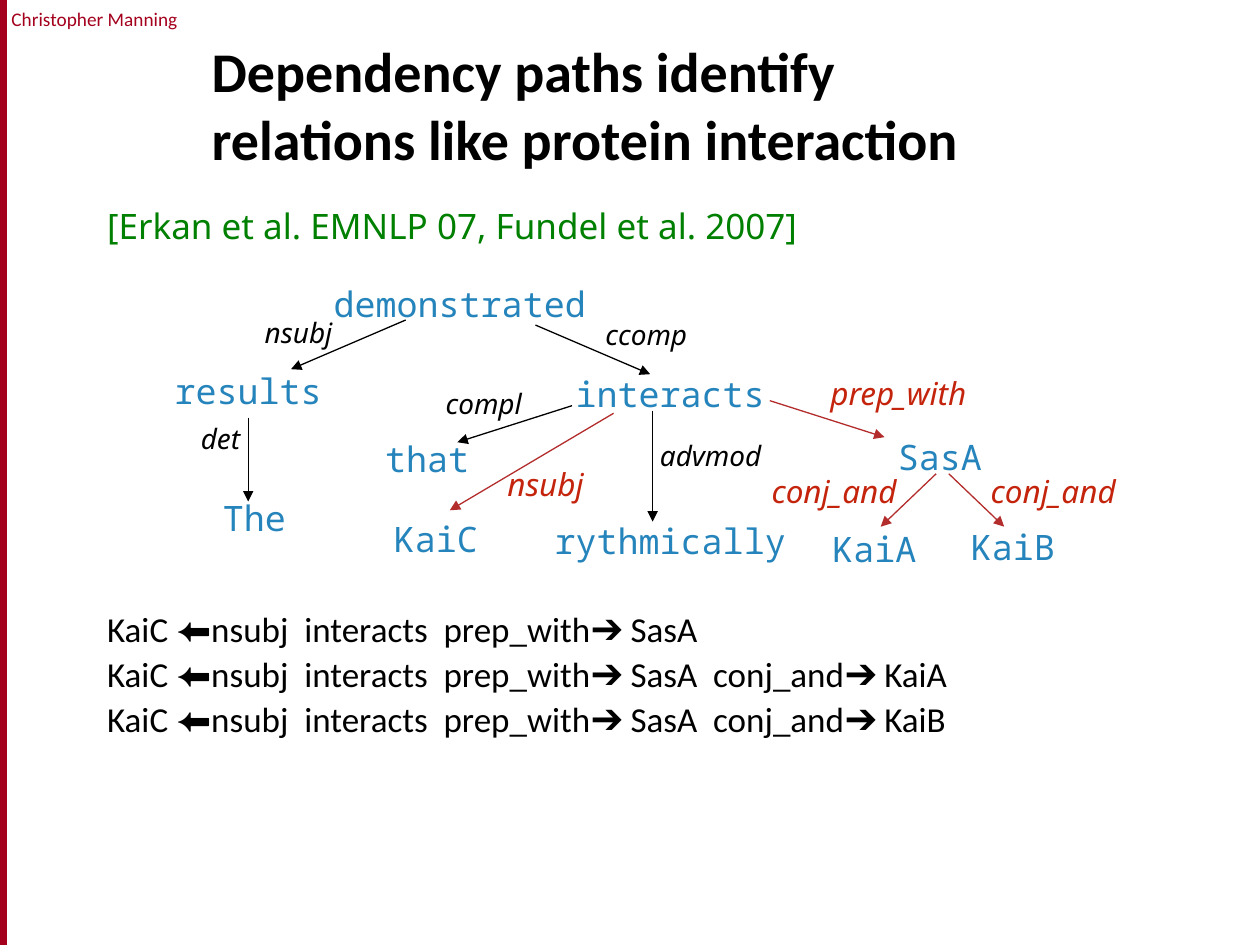
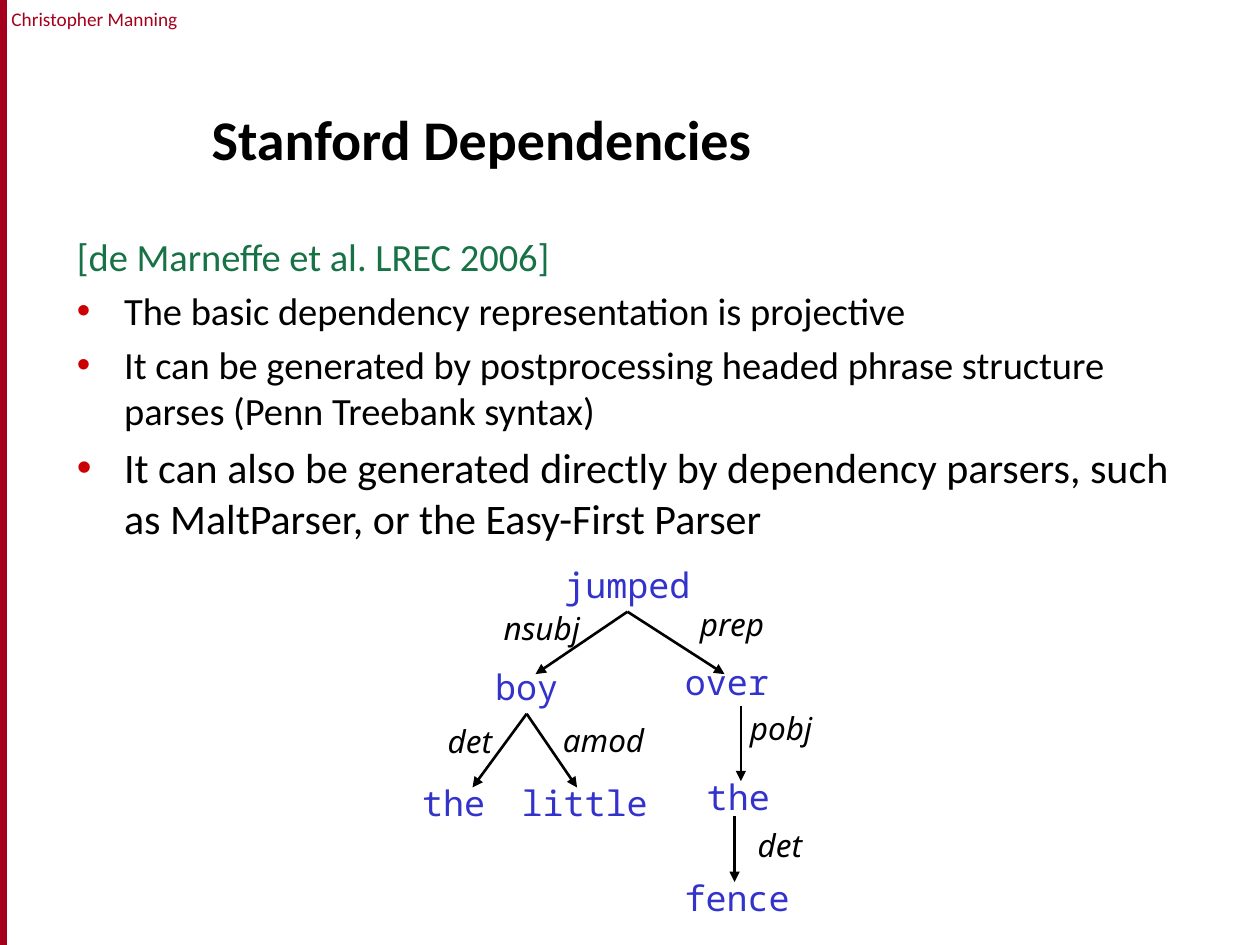
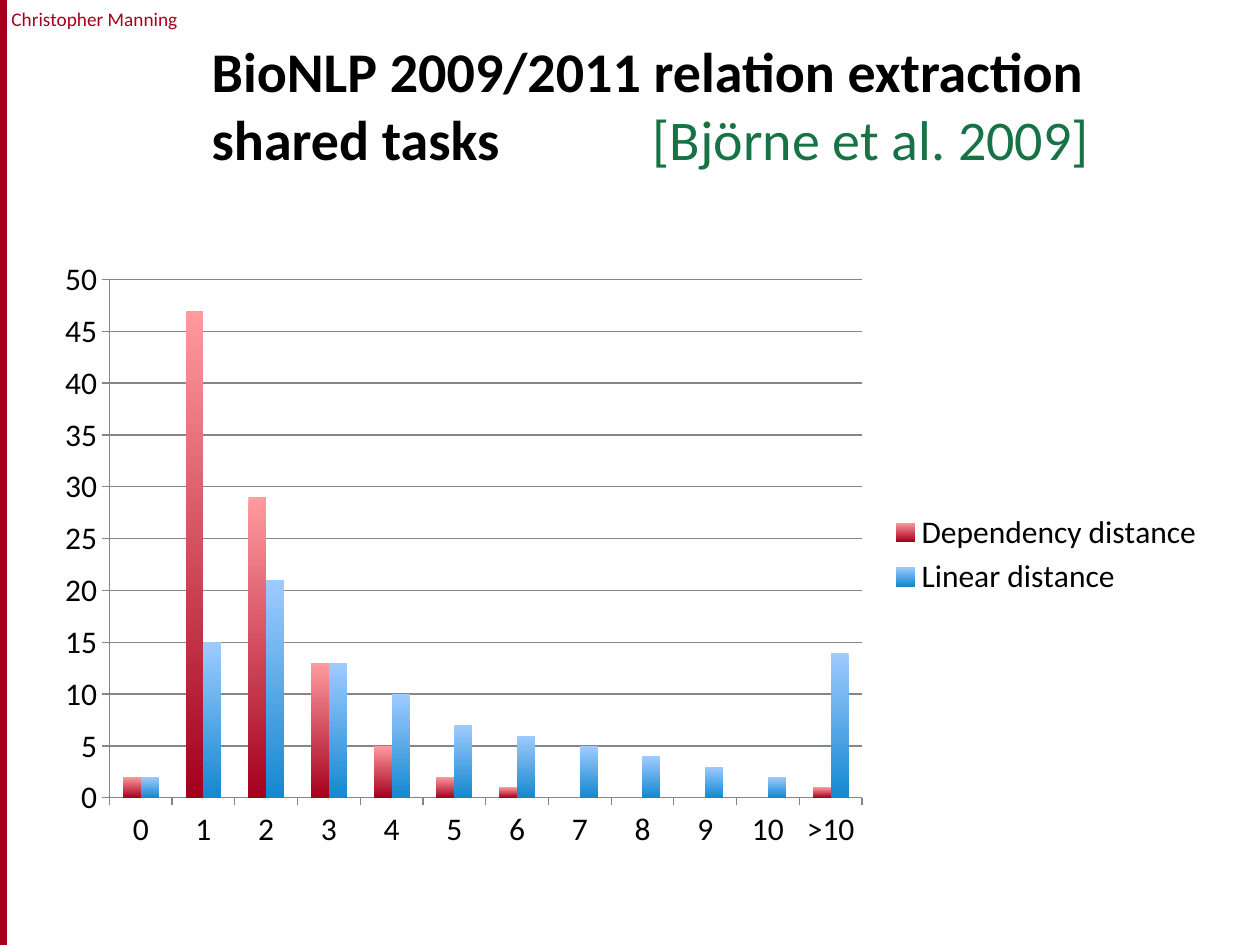
from dataclasses import dataclass
from typing import NamedTuple

from lxml.etree import SubElement
from pptx import Presentation
from pptx.chart.data import CategoryChartData
from pptx.dml.color import RGBColor
from pptx.enum.chart import XL_CHART_TYPE, XL_LEGEND_POSITION, XL_TICK_MARK
from pptx.enum.shapes import MSO_CONNECTOR, MSO_SHAPE
from pptx.enum.text import MSO_ANCHOR, MSO_AUTO_SIZE, PP_ALIGN
from pptx.oxml.ns import qn
from pptx.util import Inches, Pt


@dataclass(frozen=True)
class Theme:
    black: str = "000000"
    cardinal: str = "A4001D"
    bullet: str = "CC0000"
    citation: str = "177245"
    bright_citation: str = "008000"
    word_blue: str = "2584BB"
    word_violet: str = "3333CC"
    path_label: str = "C4230C"
    path_arrow: str = "B32D2D"
    grid: str = "868686"
    dependency_bars: tuple = ("FF9A9F", "A4001D")
    linear_bars: tuple = ("9FCBFF", "1488CF")
    text_font: str = "Calibri"
    label_font: str = "Noto Sans"
    word_font: str = "Noto Sans Mono"
    author_size: int = 11
    title_size: int = 32
    word_size: int = 20
    label_size: int = 16
    large_label_size: int = 18
    chart_size: int = 18
    word_em: float = 0.6
    label_em: float = 0.53


THEME = Theme()


class Box(NamedTuple):
    left: float
    top: float
    width: float
    height: float

    def lengths(self):
        return [Inches(side) for side in self]


class Relation(NamedTuple):
    """A labelled arrow; a start given as a word leaves from below that word."""
    label: str
    center: tuple
    start: object
    end: tuple
    on_path: bool = False


class TreeStyle(NamedTuple):
    word_color: str
    label_size: int
    line_width: float


TITLE_BOX = Box(1.58, 0.33, 8.08, 1.08)

PROTEIN_WORDS = [
    ("demonstrated", 2.65, 0.41), ("results", 0.97, 1.1),
    ("interacts", 4.32, 1.12), ("The", 1.02, 2.11), ("that", 2.39, 1.64),
    ("KaiC", 2.46, 2.27), ("rythmically", 4.32, 2.29),
    ("SasA", 6.46, 1.62), ("KaiA", 5.94, 2.35), ("KaiB", 7.04, 2.34),
]
PROTEIN_RELATIONS = [
    Relation("nsubj", (1.37, 0.64), (2.22, 0.54), (1.31, 0.93)),
    Relation("ccomp", (4.13, 0.65), (3.25, 0.58), (4.16, 0.97)),
    Relation("det", (0.75, 1.48), "results", (0.97, 1.98)),
    Relation("compl", (2.84, 1.2), (3.54, 1.22), (2.63, 1.51)),
    Relation("advmod", (4.64, 1.61), (4.18, 1.26), (4.18, 2.14)),
    Relation("nsubj", (3.33, 1.84), (3.87, 1.28), (2.57, 2.05), True),
    Relation("prep_with", (6.13, 1.12), (5.11, 1.18), (6.02, 1.47), True),
    Relation("conj_and", (5.62, 1.9), (6.43, 1.76), (5.99, 2.18), True),
    Relation("conj_and", (7.36, 1.9), (6.53, 1.76), (6.97, 2.18), True),
]
JUMP_WORDS = [
    ("jumped", 1.98, 0.64), ("boy", 1.18, 1.45), ("over", 2.77, 1.41),
    ("the", 0.6, 2.37), ("little", 1.64, 2.37), ("the", 2.86, 2.32),
    ("fence", 2.85, 3.12),
]
JUMP_RELATIONS = [
    Relation("nsubj", (1.3, 0.98), "jumped", (1.25, 1.35)),
    Relation("prep", (2.81, 0.95), "jumped", (2.75, 1.35)),
    Relation("det", (0.73, 1.88), "boy", (0.75, 2.25)),
    Relation("amod", (1.79, 1.87), "boy", (1.58, 2.25)),
    Relation("pobj", (3.2, 1.78), (2.88, 1.6), (2.88, 2.2)),
    Relation("det", (3.19, 2.71), (2.83, 2.48), (2.83, 3)),
]


def rgb(color):
    return RGBColor.from_string(color)


def write(paragraph, text, *, size, color=THEME.black, font=THEME.text_font,
          bold=False, italic=False, align=None):
    """Append formatted text to a paragraph; a newline becomes a line break."""
    if align is not None:
        paragraph.alignment = align
    for index, line in enumerate(text.split("\n")):
        if index:
            paragraph.add_line_break()
        run = paragraph.add_run()
        run.text = line
        run.font.size = Pt(size)
        run.font.name = font
        run.font.bold = bold
        run.font.italic = italic
        run.font.color.rgb = rgb(color)


def place(shape, box):
    shape.left, shape.top, shape.width, shape.height = box.lengths()


def set_bullet(paragraph, color=None):
    """Give the paragraph a coloured bullet, or none without a colour."""
    properties = paragraph._p.get_or_add_pPr()
    if color is None:
        SubElement(properties, qn("a:buNone"))
        return
    bullet_color = SubElement(properties, qn("a:buClr"))
    SubElement(bullet_color, qn("a:srgbClr"), val=color)
    SubElement(properties, qn("a:buChar"), char="•")


def set_tab(paragraph, position):
    tabs = SubElement(paragraph._p.get_or_add_pPr(), qn("a:tabLst"))
    SubElement(tabs, qn("a:tab"), pos=str(Inches(position)), algn="l")


def move_to_master(shape, master, shape_id):
    shape.element.xpath("./p:nvSpPr/p:cNvPr")[0].set("id", str(shape_id))
    master.shapes.element.append(shape.element)


def add_master_band(master, slide):
    """Build the author line and side band on a slide, then share them."""
    author = slide.shapes.add_textbox(*Box(0.04, 0.01, 1.42, 0.29).lengths())
    frame = author.text_frame
    frame.word_wrap = True
    frame.margin_left = frame.margin_right = 0
    write(frame.paragraphs[0], "Christopher Manning", size=THEME.author_size,
          color=THEME.cardinal, align=PP_ALIGN.CENTER)
    band = slide.shapes.add_shape(MSO_SHAPE.RECTANGLE,
                                  *Box(0, 0, 0.05, 7.5).lengths())
    band.shadow.inherit = False
    band.fill.solid()
    band.fill.fore_color.rgb = rgb(THEME.cardinal)
    band.line.color.rgb = rgb(THEME.cardinal)
    band.line.width = Pt(0.75)
    for shape_id, shared in enumerate((author, band), start=101):
        move_to_master(shared, master, shape_id)


def add_title(slide, text):
    title = slide.shapes.title
    place(title, TITLE_BOX)
    frame = title.text_frame
    frame.auto_size = MSO_AUTO_SIZE.NONE
    frame.vertical_anchor = MSO_ANCHOR.BOTTOM
    heading = frame.paragraphs[0]
    write(heading, text, size=THEME.title_size, bold=True,
          align=PP_ALIGN.LEFT)
    return heading


def add_body(slide, box, lines):
    """Fill the body with (text, format, bullet colour, spacing) lines."""
    body = slide.placeholders[1]
    place(body, box)
    frame = body.text_frame
    frame.auto_size = MSO_AUTO_SIZE.NONE
    for index, (text, style, bullet, spacing) in enumerate(lines):
        paragraph = frame.add_paragraph() if index else frame.paragraphs[0]
        for name, value in spacing.items():
            setattr(paragraph, name, value)
        set_bullet(paragraph, bullet)
        write(paragraph, text, **style)


def add_centered_text(slide, text, x, y, em, **style):
    """Add a one-line text box around the point x, y, sized by its letters."""
    width = len(text) * em * style["size"] / 72 + 0.2
    height = style["size"] * 0.0165 + 0.1
    box = Box(x - width / 2, y - height / 2, width, height)
    label = slide.shapes.add_textbox(*box.lengths())
    frame = label.text_frame
    frame.word_wrap = False
    frame.auto_size = MSO_AUTO_SIZE.SHAPE_TO_FIT_TEXT
    frame.margin_left = frame.margin_right = 0
    frame.vertical_anchor = MSO_ANCHOR.MIDDLE
    write(frame.paragraphs[0], text, align=PP_ALIGN.CENTER, **style)
    return label


def add_arrow(slide, start, end, color, width):
    arrow = slide.shapes.add_connector(
        MSO_CONNECTOR.STRAIGHT, *(Inches(value) for value in (*start, *end)))
    arrow.line.color.rgb = rgb(color)
    arrow.line.width = Pt(width)
    properties = arrow.element.spPr
    SubElement(properties.find(qn("a:ln")), qn("a:tailEnd"), type="triangle")
    SubElement(properties, qn("a:effectLst"))
    return arrow


def add_tree(slide, left, top, words, relations, style):
    """Draw a dependency tree whose points are measured from left, top."""
    def shift(point):
        return left + point[0], top + point[1]

    nodes = {}
    for word, *center in words:
        nodes[word] = add_centered_text(
            slide, word, *shift(center), THEME.word_em, size=THEME.word_size,
            color=style.word_color, font=THEME.word_font)
    for relation in relations:
        source = nodes.get(relation.start) if isinstance(
            relation.start, str) else None
        end = shift(relation.end)
        arrow = add_arrow(
            slide, end if source else shift(relation.start), end,
            THEME.path_arrow if relation.on_path else THEME.black,
            style.line_width)
        if source:
            arrow.begin_connect(source, 2)
        add_centered_text(
            slide, relation.label, *shift(relation.center), THEME.label_em,
            size=(THEME.large_label_size if relation.on_path
                  else style.label_size),
            color=THEME.path_label if relation.on_path else THEME.black,
            font=THEME.label_font, italic=True)


def add_distance_chart(slide, box):
    distances = CategoryChartData()
    distances.categories = [str(n) for n in range(11)] + [">10"]
    distances.add_series("Dependency distance",
                         [2, 47, 29, 13, 5, 2, 1, 0, 0, 0, 0, 1])
    distances.add_series("Linear distance",
                         [2, 15, 21, 13, 10, 7, 6, 5, 4, 3, 2, 14])
    chart = slide.shapes.add_chart(XL_CHART_TYPE.COLUMN_CLUSTERED,
                                   *box.lengths(), distances).chart
    chart.has_title = False
    chart.font.size = Pt(THEME.chart_size)
    chart.font.name = THEME.text_font
    chart.font.color.rgb = rgb(THEME.black)
    chart.has_legend = True
    chart.legend.position = XL_LEGEND_POSITION.RIGHT
    chart.legend.include_in_layout = False
    value_axis = chart.value_axis
    value_axis.has_major_gridlines = True
    lines = [value_axis.major_gridlines.format.line]
    for axis in (chart.category_axis, value_axis):
        axis.major_tick_mark = XL_TICK_MARK.OUTSIDE
        lines.append(axis.format.line)
    for line in lines:
        line.color.rgb = rgb(THEME.grid)
        line.width = Pt(0.75)
    plot = chart.plots[0]
    plot.gap_width = 150
    plot.overlap = 0
    plot.vary_by_categories = False
    for series, shades in zip(plot.series,
                              (THEME.dependency_bars, THEME.linear_bars)):
        fill = series.format.fill
        fill.gradient()
        fill.gradient_angle = 270
        for stop, shade in zip(fill.gradient_stops, shades):
            stop.color.rgb = rgb(shade)


def build_protein_slide(slide):
    add_title(slide, "Dependency paths identify \n"
                     "relations like protein interaction")
    citation = {"size": 20, "font": THEME.label_font,
                "color": THEME.bright_citation}
    tight = {"line_spacing": 0.9}
    below_tree = {**tight, "space_before": Pt(209)}
    path = "KaiC ⬅nsubj  interacts  prep_with➔ SasA"
    endings = ["", "  conj_and➔ KaiA", "  conj_and➔ KaiB"]
    add_body(slide, Box(0.75, 1.61, 8.5, 5.22), [
        ("[Erkan et al. EMNLP 07, Fundel et al. 2007]", citation, None, tight),
        *((path + ending, {"size": 20}, None, tight if ending else below_tree)
          for ending in endings),
    ])
    add_tree(slide, 1, 2, PROTEIN_WORDS, PROTEIN_RELATIONS,
             TreeStyle(THEME.word_blue, THEME.label_size, 0.75))


def build_dependencies_slide(slide):
    add_title(slide, "Stanford Dependencies")
    points = [
        ("The basic dependency representation is projective", 22),
        ("It can be generated by postprocessing headed phrase structure "
         "parses (Penn Treebank syntax)", 22),
        ("It can also be generated directly by dependency parsers, such as "
         "MaltParser, or the Easy-First Parser", 24),
    ]
    add_body(slide, Box(0.51, 1.8, 9.04, 4.92), [
        ("[de Marneffe et al. LREC 2006]",
         {"size": 22, "color": THEME.citation}, None, {}),
        *((point, {"size": size}, THEME.bullet, {}) for point, size in points),
    ])
    add_tree(slide, 3, 4, JUMP_WORDS, JUMP_RELATIONS,
             TreeStyle(THEME.word_violet, THEME.large_label_size, 1.5))


def build_shared_task_slide(slide):
    heading = add_title(
        slide, "BioNLP 2009/2011 relation extraction shared tasks\t")
    set_tab(heading, 3.5)
    write(heading, "[Björne et al. 2009]", size=THEME.title_size,
          color=THEME.citation)
    add_distance_chart(slide, Box(0.33, 1.97, 9.33, 4.86))


def main():
    deck = Presentation()
    deck.slide_width, deck.slide_height = Inches(10), Inches(7.5)
    title_and_body, title_only = deck.slide_layouts[1], deck.slide_layouts[5]
    pages = [(title_and_body, build_protein_slide),
             (title_and_body, build_dependencies_slide),
             (title_only, build_shared_task_slide)]
    for layout, build in pages:
        build(deck.slides.add_slide(layout))
    add_master_band(deck.slide_master, deck.slides[0])
    deck.save("out.pptx")


if __name__ == "__main__":
    main()
